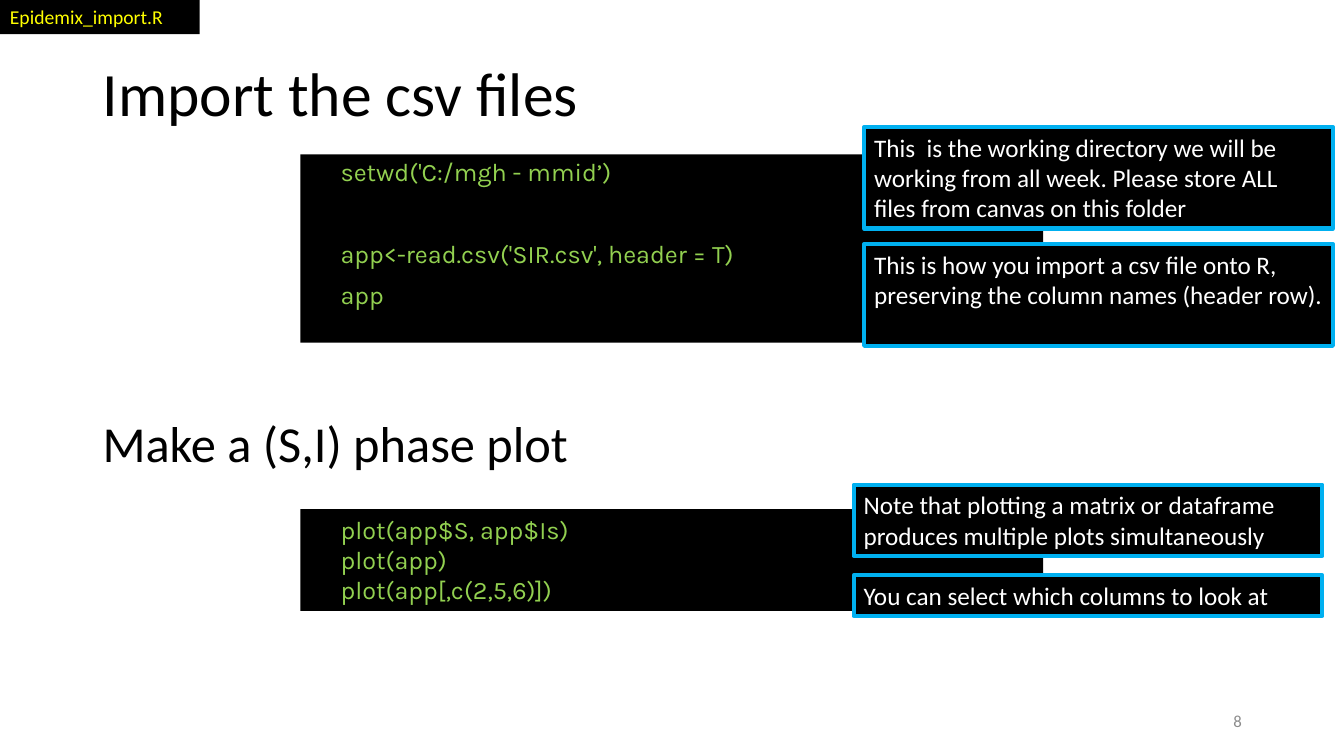
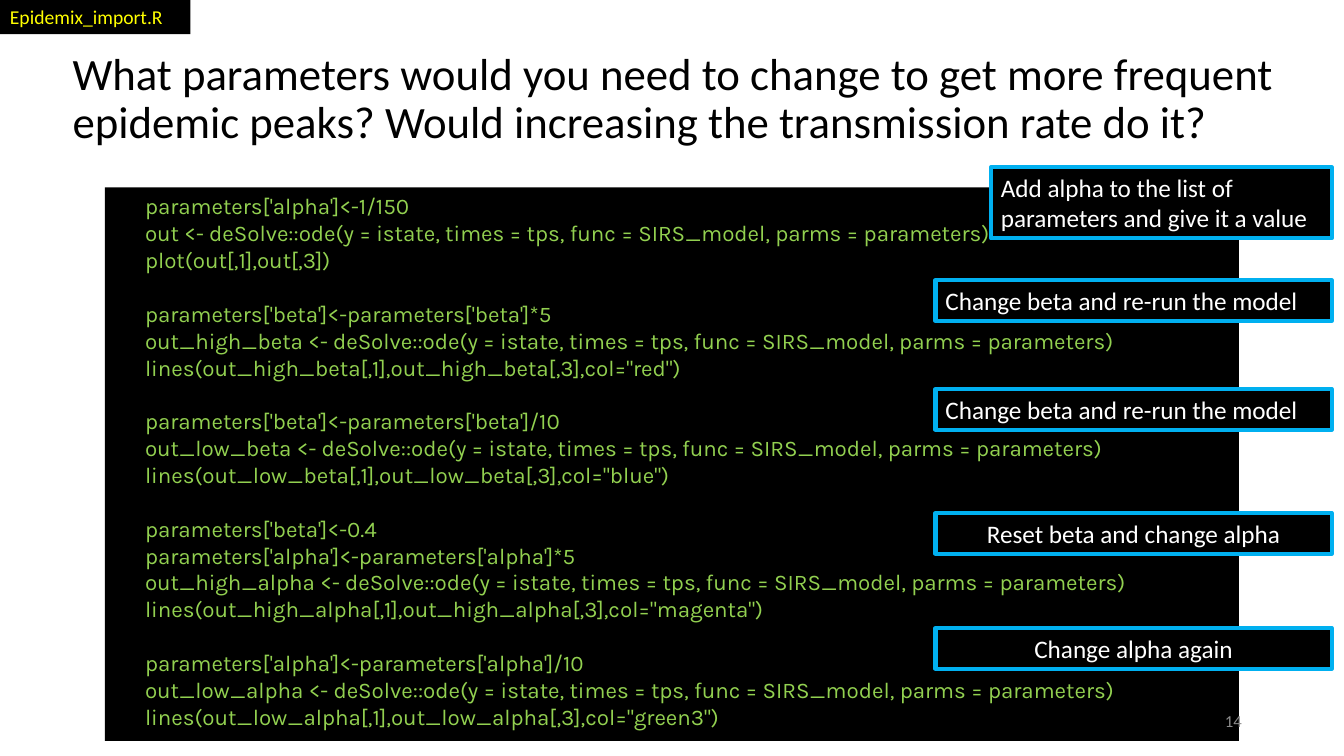
from pptx import Presentation
from pptx.dml.color import RGBColor
from pptx.enum.shapes import MSO_SHAPE as Shape
from pptx.enum.text import MSO_ANCHOR as Anchor, MSO_AUTO_SIZE as AutoSize, PP_ALIGN as Align
from pptx.util import Pt

COLOURS = {
    "black": "000000",
    "white": "FFFFFF",
    "code": "92D050",
    "tag": "FFFF00",
    "border": "00B0F0",
    "number": "8C8C8C",
}
ODE = "<- deSolve::ode(y = istate, times = tps, func = SIRS_model, parms = parameters)"


def colour(name):
    return RGBColor.from_string(COLOURS[name])


def apply(target, values):
    for name, value in values.items():
        setattr(target, name, value)


def scenario(changes, name, line_colour):
    output = f"out_{name}"
    return [*changes, f"{output} {ODE}", f'lines({output}[,1],{output}[,3],col="{line_colour}")']


class CodeDeck:
    body_font = "Calibri"
    code_font = "Karla"
    note_line = 21.8
    note_padding = 7.2
    code_indent = 21.6

    def __init__(self):
        self.deck = Presentation()
        apply(self.deck, {"slide_width": Pt(960), "slide_height": Pt(540)})
        self.page = None

    def fill_text(self, frame, lines, size, ink, font=body_font, anchor=Anchor.TOP, **layout):
        apply(frame, {"word_wrap": True, "auto_size": AutoSize.NONE, "vertical_anchor": anchor})
        for index, line in enumerate(lines):
            para = frame.add_paragraph() if index else frame.paragraphs[0]
            apply(para, {"alignment": Align.LEFT, **layout})
            span = para.add_run()
            span.text = line
            apply(span.font, {"name": font, "size": Pt(size)})
            span.font.color.rgb = colour(ink)
        return frame.paragraphs

    def panel(self, left, top, width, height, border=None):
        box = self.page.shapes.add_shape(
            Shape.RECTANGLE, Pt(left), Pt(top), Pt(width), Pt(height))
        box.shadow.inherit = False
        box.fill.solid()
        box.fill.fore_color.rgb = colour("black")
        if border:
            box.line.color.rgb = colour(border)
            box.line.width = Pt(3)
        else:
            box.line.fill.background()
        return box.text_frame

    def label(self, text, left, top, width, height, size, ink, **layout):
        box = self.page.shapes.add_textbox(Pt(left), Pt(top), Pt(width), Pt(height))
        self.fill_text(box.text_frame, [text], size, ink, **layout)

    def start(self, title, left, top, width, height, size):
        self.page = self.deck.slides.add_slide(self.deck.slide_layouts[5])
        box = self.page.shapes.title
        apply(box, {"left": Pt(left), "top": Pt(top), "width": Pt(width), "height": Pt(height)})
        self.fill_text(box.text_frame, [title], size, "black",
                       anchor=Anchor.MIDDLE, line_spacing=0.9)

    def code(self, blocks, left, top, width, height, size, block_gap, line_gap=0, **layout):
        lines = [line for block in blocks for line in block]
        starts = {sum(map(len, blocks[:index])) for index in range(1, len(blocks))}
        paras = self.fill_text(self.panel(left, top, width, height), lines,
                               size, "code", self.code_font, **layout)
        for index, para in enumerate(paras):
            gap = block_gap if index in starts else line_gap
            para.space_before = Pt(gap if index else 0)
            para._p.get_or_add_pPr().set("marL", str(Pt(self.code_indent)))

    def note(self, text, left, top, width, rows=1, **layout):
        height = self.note_padding + self.note_line * rows
        self.fill_text(self.panel(left, top, width, height, "border"),
                       [text], 18, "white", **layout)

    def number(self, value):
        self.label(str(value), 678.2, 500.4, 216, 28.8, 12, "number",
                   anchor=Anchor.MIDDLE, alignment=Align.RIGHT)

    def tag(self, text, width):
        self.fill_text(self.panel(0, 0, width, 24.4), [text], 14, "tag")


def build_import(show):
    show.start("Import the csv files", 66.2, 11.5, 828, 115.2, 44)
    show.code(
        [["setwd('C:/mgh - mmid’)"], ["app<-read.csv('SIR.csv', header = T)", "app"]],
        214.6, 110.2, 530.6, 134.6, 18, block_gap=39.4, line_gap=10, line_spacing=0.9)
    show.number(8)
    show.label("Make a (S,I) phase plot", 66.2, 290.9, 480.2, 51, 36, "black")
    show.code([["plot(app$S, app$Is)", "plot(app)", "plot(app[,c(2,5,6)])"]],
              214.6, 363.6, 530.6, 72.7, 18, block_gap=0)
    for text, left, top, rows in (
        ("This  is the working directory we will be working from all week. "
         "Please store ALL files from canvas on this folder", 617.3, 90.7, 3),
        ("This is how you import a csv file onto R, "
         "preserving the column names (header row).", 617.3, 174.5, 3),
        ("Note that plotting a matrix or dataframe "
         "produces multiple plots simultaneously", 609.8, 346.3, 2),
        ("You can select which columns to look at", 609.8, 411, 1),
    ):
        show.note(text, left, top, 334.8, rows)
    show.tag("Epidemix_import.R", 142.6)


def build_parameters(show):
    show.start("What parameters would you need to change to get more frequent epidemic peaks? "
               "Would increasing the transmission rate do it?", 44.6, 19.4, 876.2, 104.4, 32)
    show.code(
        [
            ["parameters['alpha']<-1/150", f"out {ODE}", "plot(out[,1],out[,3])"],
            scenario(["parameters['beta']<-parameters['beta']*5"], "high_beta", "red"),
            scenario(["parameters['beta']<-parameters['beta']/10"], "low_beta", "blue"),
            scenario(["parameters['beta']<-0.4", "parameters['alpha']<-parameters['alpha']*5"],
                     "high_alpha", "magenta"),
            scenario(["parameters['alpha']<-parameters['alpha']/10"], "low_alpha", "green3"),
        ],
        74.9, 133.9, 810, 395.3, 16, block_gap=19.2)
    show.number(14)
    show.note("Add alpha to the list of parameters and give it a value", 707.8, 119.5, 243.4, 2)
    for text, top, alignment in (
        ("Change beta and re-run the model", 200.2, Align.LEFT),
        ("Change beta and re-run the model", 277.9, Align.LEFT),
        ("Reset beta and change alpha", 366.5, Align.CENTER),
        ("Change alpha again", 448.6, Align.CENTER),
    ):
        show.note(text, 668.2, top, 283, alignment=alignment)
    show.tag("Epidemix_import.R", 136)


def main():
    show = CodeDeck()
    build_import(show)
    build_parameters(show)
    show.deck.save("out.pptx")


if __name__ == "__main__":
    main()
